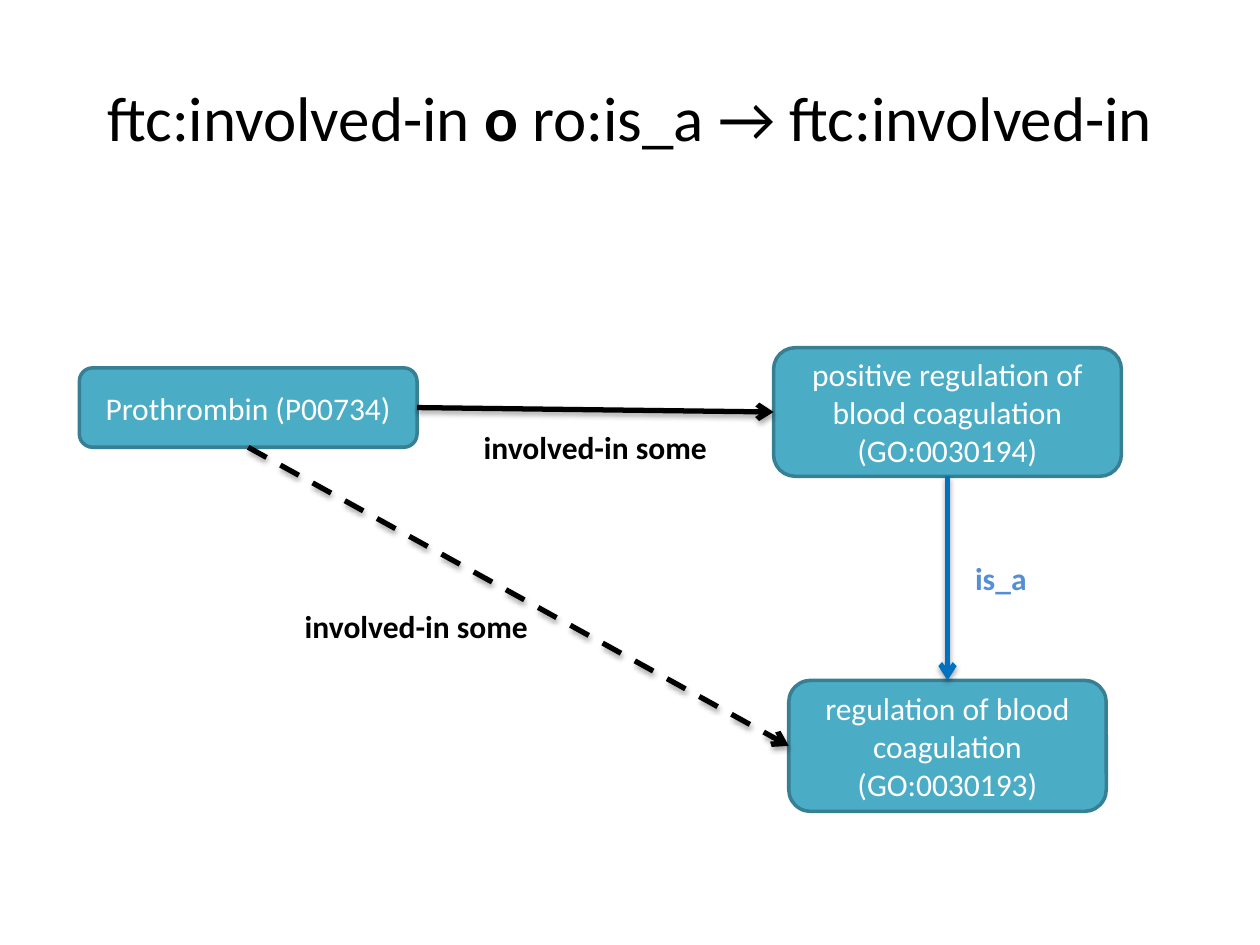
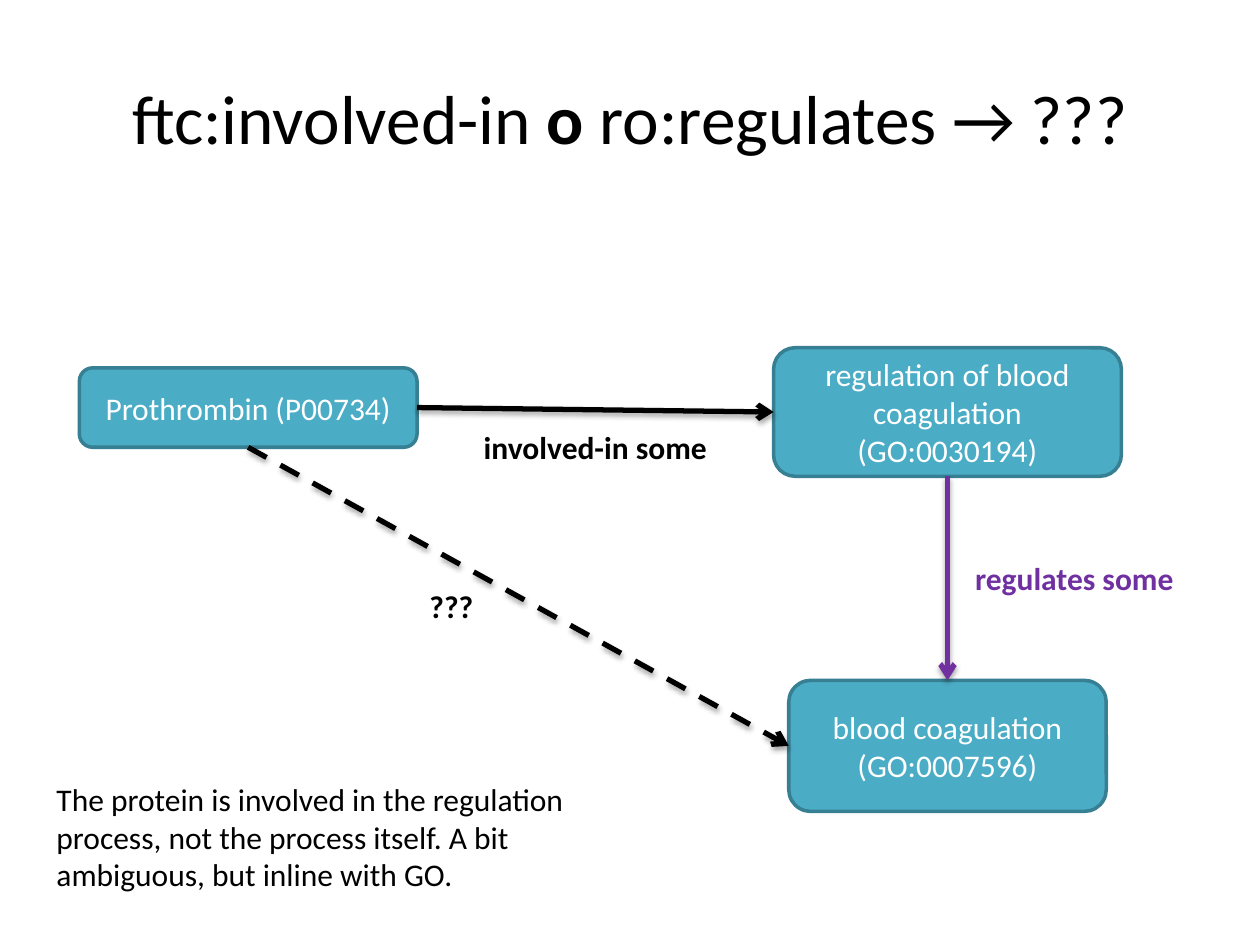
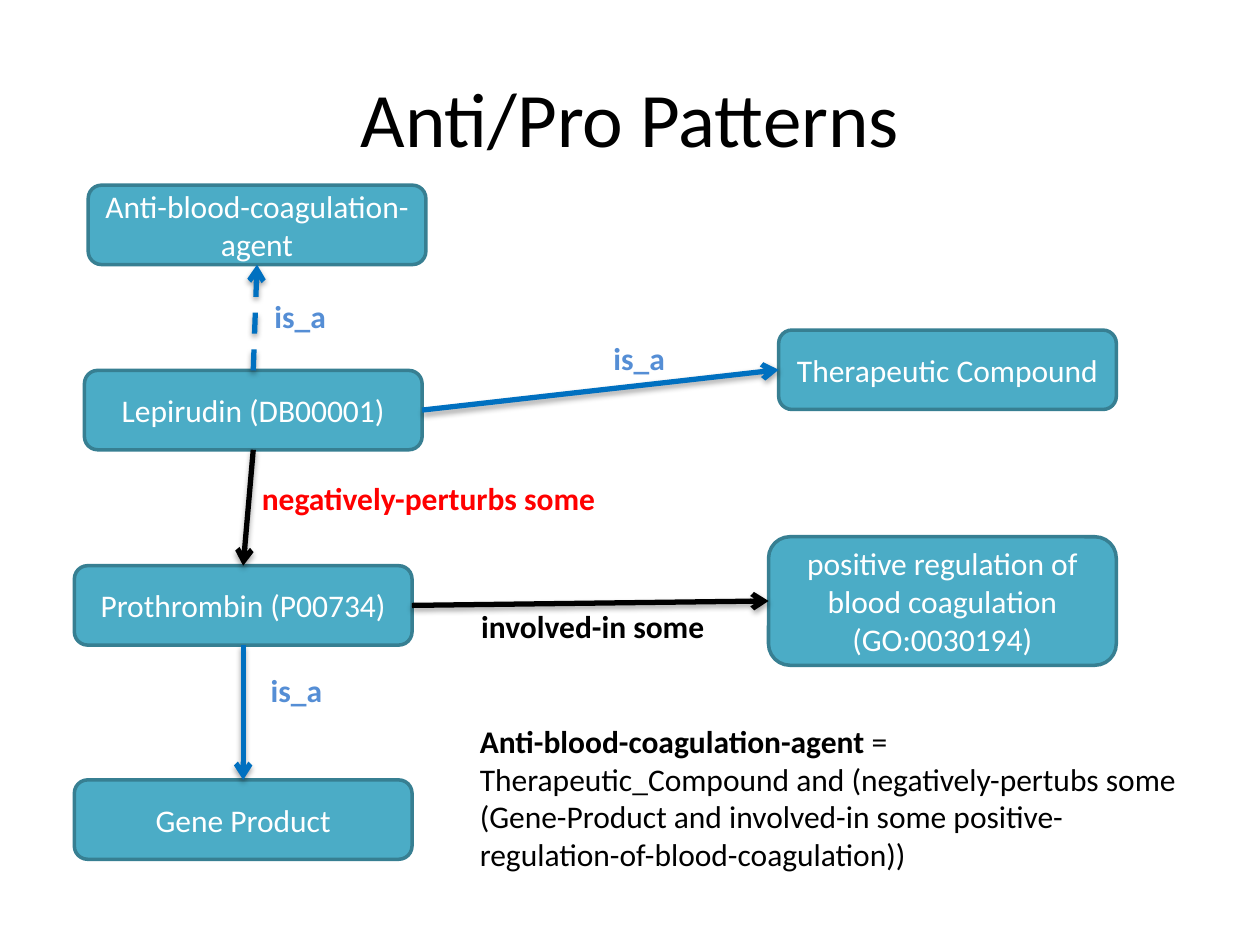
from dataclasses import dataclass
from lxml import etree
from pptx import Presentation
from pptx.dml.color import RGBColor
from pptx.enum import dml, shapes, text
from pptx.oxml import ns
from pptx.util import Inches, Pt


@dataclass(frozen=True)
class Theme:
    font: str = "Calibri"
    body: int = 18
    edge: int = 2
    link: int = 3
    black: str = "000000"
    white: str = "FFFFFF"
    teal: str = "4BACC6"
    rim: str = "377F92"
    blue: str = "0070C0"
    sky: str = "558ED5"
    plum: str = "7030A0"
    red: str = "FF0000"


T = Theme()

# Content: **bold** marks bold text
PROTEIN = "Prothrombin (P00734)"
POS_REG = "positive regulation of blood coagulation (GO:0030194)"
INVOLVED = "involved-in some"

# Node sizes, label widths, connection sites
SIZES = {"slim": (2.68, 0.63), "tall": (2.76, 1.02), "base": (2.52, 1.04)}
WIDTHS = {INVOLVED: 1.98, "is_a": 0.61, "regulates some": 1.79,
          "???": 0.55, "negatively-perturbs some": 2.9}
TOP, LEFT, BOTTOM, RIGHT = range(4)


def chain(upper, lower, rel, result):
    """Nodes and links of a three-node property chain."""
    nodes = {
        "protein": (PROTEIN, "slim", 0.63, 2.92),
        "upper": (upper, "tall", 6.14, 2.76),
        "lower": (lower, "base", 6.26, 5.4),
    }
    links = [
        ("protein", RIGHT, "upper", LEFT, T.black, False,
         (INVOLVED, 3.74, 3.35, T.black)),
        ("upper", BOTTOM, "lower", TOP, rel[0], False,
         (rel[1], 7.64, 4.39, rel[2])),
        ("protein", BOTTOM, "lower", LEFT, T.black, True, (*result, T.black)),
    ]
    return {"nodes": nodes, "links": links}


SLIDES = [
    {"title": ("ftc:involved-in **o **ro:is_a → ftc:involved-in", 36),
     **chain(POS_REG, "regulation of blood coagulation (GO:0030193)",
             (T.blue, "is_a", T.sky), (INVOLVED, 2.32, 4.77))},
    {"title": ("ftc:involved-in **o **ro:regulates → ???", 39.6),
     **chain("regulation of blood coagulation (GO:0030194)",
             "blood coagulation (GO:0007596)",
             (T.plum, "regulates some", T.plum), ("???", 3.31, 4.61)),
     "note": ("The protein is involved in the regulation process, not the "
              "process itself. A bit ambiguous, but inline with GO.",
              0.35, 6.14, 4.76, 1.01)},
    {"title": ("Anti/Pro Patterns", 44),
     "nodes": {
         "agent": ("Anti-blood-coagulation-agent", "slim", 0.7, 1.47),
         "drug": ("Lepirudin (DB00001)", "slim", 0.67, 2.94),
         "protein": (PROTEIN, "slim", 0.59, 4.49),
         "product": ("Gene Product", "slim", 0.59, 6.19),
         "compound": ("Therapeutic Compound", "slim", 6.18, 2.62),
         "process": (POS_REG, "tall", 6.1, 4.26)},
     "links": [
         ("protein", RIGHT, "process", LEFT, T.black, False,
          (INVOLVED, 3.72, 4.77, T.black)),
         ("drug", BOTTOM, "protein", TOP, T.black, False,
          ("negatively-perturbs some", 1.98, 3.75, T.red)),
         ("protein", BOTTOM, "product", TOP, T.blue, False,
          ("is_a", 2.05, 5.28, T.sky)),
         ("drug", RIGHT, "compound", LEFT, T.blue, False,
          ("is_a", 4.77, 2.64, T.sky)),
         ("drug", TOP, "agent", BOTTOM, T.blue, True,
          ("is_a", 2.08, 2.31, T.sky))],
     "note": ("**Anti-blood-coagulation-agent** = Therapeutic_Compound and "
              "(negatively-pertubs some (Gene-Product and involved-in some "
              "positive-regulation-of-blood-coagulation))",
              3.71, 5.68, 5.83, 1.31)},
]


def rgb(code):
    return RGBColor.from_string(code)


def write(frame, words, size, color, align=text.PP_ALIGN.LEFT):
    para = frame.paragraphs[0]
    para.alignment = align
    for i, part in enumerate(words.split("**")):
        if part:
            run = para.add_run()
            run.text = part
            run.font.name = T.font
            run.font.size = Pt(size)
            run.font.bold = i % 2 == 1
            run.font.color.rgb = rgb(color)


def add_text(slide, words, box, color=T.black, wrap=True):
    frame = slide.shapes.add_textbox(*map(Inches, box)).text_frame
    frame.word_wrap = wrap
    frame.auto_size = text.MSO_AUTO_SIZE.SHAPE_TO_FIT_TEXT
    write(frame, words, T.body, color)


def add_title(slide, words, size):
    box = map(Inches, (0.5, 0.3, 9, 1.25))
    frame = slide.shapes.add_textbox(*box).text_frame
    frame.word_wrap = True
    frame.vertical_anchor = text.MSO_ANCHOR.MIDDLE
    write(frame, words, size, T.black, text.PP_ALIGN.CENTER)


def add_node(slide, words, kind, left, top):
    box = map(Inches, (left, top, *SIZES[kind]))
    node = slide.shapes.add_shape(shapes.MSO_SHAPE.ROUNDED_RECTANGLE, *box)
    node.shadow.inherit = False
    node.fill.solid()
    node.fill.fore_color.rgb = rgb(T.teal)
    node.line.color.rgb = rgb(T.rim)
    node.line.width = Pt(T.edge)
    node.text_frame.word_wrap = True
    node.text_frame.vertical_anchor = text.MSO_ANCHOR.MIDDLE
    write(node.text_frame, words, T.body, T.white, text.PP_ALIGN.CENTER)
    return node


def sub(parent, tag, **attrs):
    return etree.SubElement(parent, ns.qn(tag), attrs)


def add_link(slide, start, exit, end, entry, color, dashed):
    link = slide.shapes.add_connector(shapes.MSO_CONNECTOR.STRAIGHT, 0, 0, 0, 0)
    link.begin_connect(start, exit)
    link.end_connect(end, entry)
    link.line.color.rgb = rgb(color)
    link.line.width = Pt(T.link)
    if dashed:
        link.line.dash_style = dml.MSO_LINE.DASH
    # Arrowhead and soft shadow below
    props = link._element.spPr
    sub(props.find(ns.qn("a:ln")), "a:tailEnd", type="arrow")
    glow = sub(sub(props, "a:effectLst"), "a:outerShdw", blurRad=str(Pt(3.1)),
               dist=str(Pt(1.8)), dir="5400000", rotWithShape="0")
    sub(sub(glow, "a:srgbClr", val=T.black), "a:alpha", val="35000")


def main():
    deck = Presentation()
    deck.slide_width, deck.slide_height = Inches(10), Inches(7.5)
    for page in SLIDES:
        slide = deck.slides.add_slide(deck.slide_layouts[6])
        add_title(slide, *page["title"])
        nodes = {key: add_node(slide, *spot)
                 for key, spot in page["nodes"].items()}
        for start, exit, end, entry, color, dashed, label in page["links"]:
            add_link(slide, nodes[start], exit, nodes[end], entry, color, dashed)
            words, left, top, tint = label
            add_text(slide, f"**{words}**", (left, top, WIDTHS[words], 0.4),
                     tint, wrap=False)
        if "note" in page:
            words, *box = page["note"]
            add_text(slide, words, box)
    deck.save("out.pptx")


if __name__ == "__main__":
    main()
